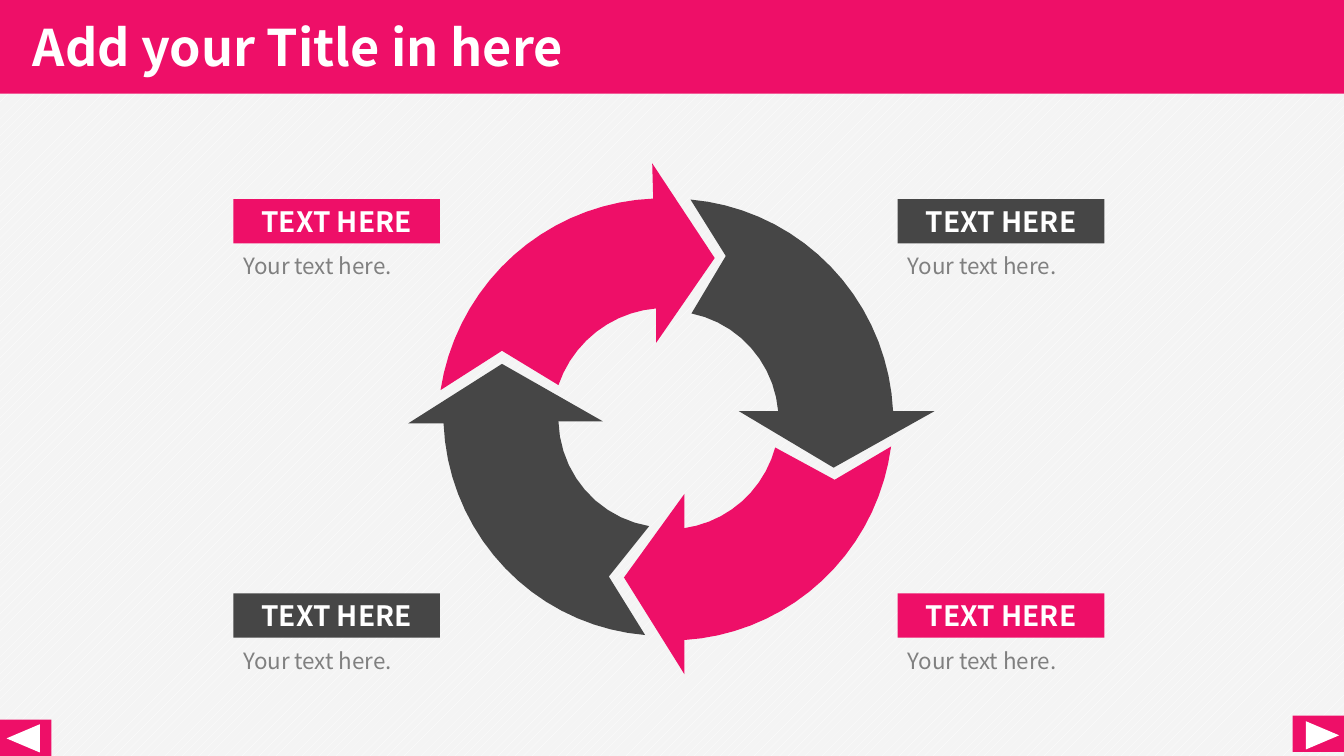
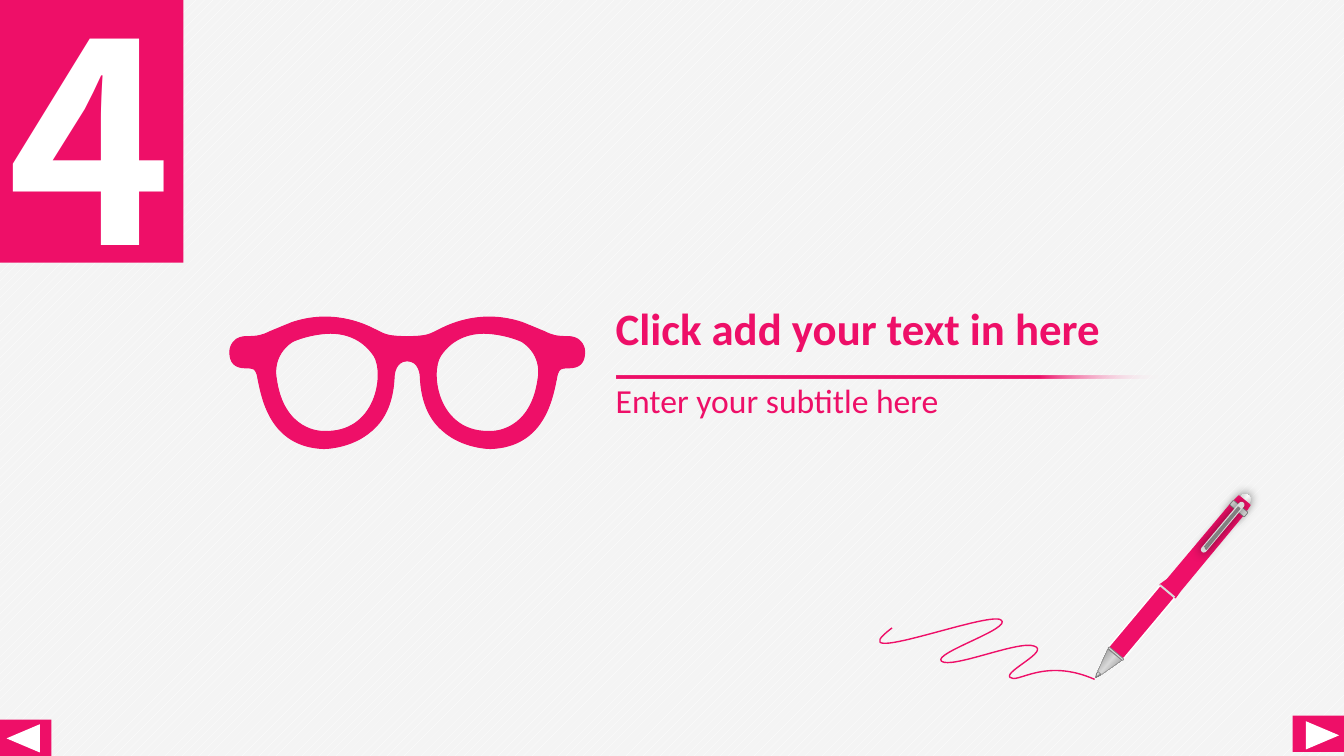
import dataclasses
import math
from typing import Optional, Sequence, Tuple, Union

import lxml.etree
import pptx
import pptx.dml.color
import pptx.enum.dml
import pptx.enum.shapes
import pptx.enum.text
import pptx.oxml.ns
import pptx.presentation
import pptx.shapes.autoshape
import pptx.slide
import pptx.util

Colour = pptx.dml.color.RGBColor
Kind = pptx.enum.shapes.MSO_SHAPE
Align = pptx.enum.text.PP_ALIGN
Anchor = pptx.enum.text.MSO_ANCHOR
Shape = pptx.shapes.autoshape.Shape
Page = pptx.slide.Slide
Point = Tuple[float, float]

# Grid: square cells, ten to the inch
COLUMNS, ROWS = 133.33, 75
CELL = 91440


# Theme
@dataclasses.dataclass(frozen=True)
class Theme:
    accent: Colour = Colour(0xEE, 0x0F, 0x68)
    dark: Colour = Colour(0x46, 0x46, 0x46)
    grey: Colour = Colour(0x80, 0x80, 0x80)
    silver: Colour = Colour(0xD9, 0xD9, 0xD9)
    ink: Colour = Colour(0x26, 0x26, 0x26)
    paper: Colour = Colour(0xF4, 0xF4, 0xF4)
    white: Colour = Colour(0xFF, 0xFF, 0xFF)
    black: Colour = Colour(0, 0, 0)
    sans: str = "Noto Sans CJK SC"
    text: str = "Calibri"
    title: int = 36
    heading: int = 32
    subtitle: int = 24
    label: int = 20
    body: int = 16
    number: int = 199


THEME = Theme()


@dataclasses.dataclass(frozen=True)
class Gradient:
    stops: Sequence[Tuple[int, Colour]]
    angle: float = 0
    fades: bool = False


@dataclasses.dataclass(frozen=True)
class Paint:
    fill: Union[Colour, Gradient, None] = None
    line: Optional[Colour] = None
    width: float = 0.75
    glow: bool = False


@dataclasses.dataclass(frozen=True)
class Box:
    left: float
    top: float
    width: float
    height: float


@dataclasses.dataclass(frozen=True)
class Type:
    size: int
    colour: Colour
    font: str = THEME.sans
    bold: bool = False
    align: Align = Align.LEFT
    anchor: Anchor = Anchor.MIDDLE
    indent: float = 1
    spacing: float = 1


@dataclasses.dataclass(frozen=True)
class Block:
    box: Box
    paint: Paint
    kind: Kind = Kind.RECTANGLE
    turn: float = 0
    rounding: Optional[float] = None


@dataclasses.dataclass(frozen=True)
class Outline:
    """Contours of corners or, when curved, of a start and three points per curve."""
    contours: Sequence[Sequence[Point]]
    paint: Paint
    closed: bool = True
    curved: bool = False


@dataclasses.dataclass(frozen=True)
class CycleArrow:
    colour: Colour
    outer: Tuple[Point, Point]
    head: Tuple[Point, Point, Point]
    inner: Tuple[Point, Point]
    notch: Point


def cells(count: float) -> pptx.util.Emu:
    return pptx.util.Emu(round(count * CELL))


def place(box: Box) -> Tuple[pptx.util.Emu, ...]:
    return tuple(cells(side) for side in dataclasses.astuple(box))


# Geometry
def sample(points: Sequence[Point], steps: int = 10) -> Sequence[Point]:
    result = [points[0]]
    for first in range(0, len(points) - 1, 3):
        for step in range(1, steps + 1):
            t = step / steps
            weights = ((1 - t) ** 3, 3 * t * (1 - t) ** 2, 3 * t * t * (1 - t), t ** 3)
            pairs = list(zip(weights, points[first:first + 4]))
            result.append((sum(w * p[0] for w, p in pairs), sum(w * p[1] for w, p in pairs)))
    return result


def arc(ends: Tuple[Point, Point], centre: Point, steps: int) -> Sequence[Point]:
    (a, r), (b, s) = [(math.atan2(y - centre[1], x - centre[0]), math.dist((x, y), centre))
                      for x, y in ends]
    sweep = math.remainder(b - a, math.tau)
    shares = [step / steps for step in range(steps + 1)]
    return [(centre[0] + (r + (s - r) * t) * math.cos(a + sweep * t),
             centre[1] + (r + (s - r) * t) * math.sin(a + sweep * t)) for t in shares]


def mirror(points: Sequence[Point], axis: float) -> Sequence[Point]:
    return [(2 * axis - x, y) for x, y in reversed(points)]


# Drawing
def child(parent: lxml.etree._Element, tag: str, **values: object) -> lxml.etree._Element:
    texts = {name: str(value) for name, value in values.items()}
    return lxml.etree.SubElement(parent, pptx.oxml.ns.qn(tag), texts)


def apply_paint(shape: Shape, paint: Paint) -> None:
    shape.shadow.inherit = False
    properties = shape._element.spPr
    if paint.fill is None:
        shape.fill.background()
    elif isinstance(paint.fill, Gradient):
        shape.fill.gradient()
        shape.fill.gradient_angle = paint.fill.angle
        stops = properties.find(".//" + pptx.oxml.ns.qn("a:gsLst"))
        for stop in list(stops):
            stops.remove(stop)
        for share, colour in paint.fill.stops:
            stop = child(stops, "a:gs", pos=share * 1000)
            tint = child(stop, "a:srgbClr", val=colour)
            if paint.fill.fades and share == 100:
                child(tint, "a:alpha", val=0)
    else:
        shape.fill.solid()
        shape.fill.fore_color.rgb = paint.fill
    if paint.line is None:
        shape.line.fill.background()
    else:
        shape.line.color.rgb = paint.line
        shape.line.width = pptx.util.Pt(paint.width)
    if paint.glow:
        effects = properties.find(pptx.oxml.ns.qn("a:effectLst"))
        shadow = child(effects, "a:outerShdw", blurRad=pptx.util.Pt(8), dist=0, dir=0)
        child(child(shadow, "a:srgbClr", val=THEME.black), "a:alpha", val=60000)


def draw_block(page: Page, block: Block) -> Shape:
    shape = page.shapes.add_shape(block.kind, *place(block.box))
    shape.rotation = block.turn
    if block.rounding is not None:
        shape.adjustments[0] = block.rounding
    apply_paint(shape, block.paint)
    return shape


def bend(shape: Shape, outline: Outline) -> None:
    """Gives the shape true cubic curves within its present bounds."""
    track = next(shape._element.iter(pptx.oxml.ns.qn("a:moveTo"))).getparent()
    for command in list(track):
        track.remove(command)
    for contour in outline.contours:
        for index, (x, y) in enumerate(contour):
            if index == 0:
                command = child(track, "a:moveTo")
            elif index % 3 == 1:
                command = child(track, "a:cubicBezTo")
            child(command, "a:pt", x=cells(x) - shape.left, y=cells(y) - shape.top)
        if outline.closed:
            child(track, "a:close")


def draw_outline(page: Page, outline: Outline) -> None:
    contours = [[(cells(x), cells(y)) for x, y in (sample(contour) if outline.curved else contour)]
                for contour in outline.contours]
    builder = page.shapes.build_freeform(*contours[0][0])
    for index, contour in enumerate(contours):
        if index:
            builder.move_to(*contour[0])
        builder.add_line_segments(contour[1:], close=outline.closed)
    shape = builder.convert_to_shape()
    if outline.curved:
        bend(shape, outline)
    apply_paint(shape, outline.paint)


def draw_line(page: Page, start: Point, end: Point, colour: Colour, width: float) -> None:
    ends = [cells(value) for value in start + end]
    line = page.shapes.add_connector(pptx.enum.shapes.MSO_CONNECTOR.STRAIGHT, *ends)
    line.line.color.rgb = colour
    line.line.width = pptx.util.Pt(width)
    child(line._element.spPr, "a:effectLst")


def write(shape: Shape, words: str, style: Type) -> None:
    frame = shape.text_frame
    frame.word_wrap = True
    frame.vertical_anchor = style.anchor
    frame.margin_left = cells(style.indent)
    para = frame.paragraphs[0]
    para.text = words
    para.alignment = style.align
    para.line_spacing = style.spacing
    para.font.name = style.font
    para.font.size = pptx.util.Pt(style.size)
    para.font.bold = style.bold
    para.font.color.rgb = style.colour


def add_text(page: Page, box: Box, words: str, style: Type) -> None:
    write(page.shapes.add_textbox(*place(box)), words, style)


# Shared frame: background and page buttons
def add_page(deck: pptx.presentation.Presentation) -> Page:
    page = deck.slides.add_slide(deck.slide_layouts[6])
    fill = page.background.fill
    fill.patterned()
    fill.pattern = pptx.enum.dml.MSO_PATTERN.PERCENT_20
    fill.fore_color.rgb = THEME.white
    fill.back_color.rgb = THEME.paper
    for left, top, arrow_left, arrow_top, turn in ((0, 71.4, 0.9, 71.6, 270),
                                                   (COLUMNS - 5.1, 71, 129.8, 71.3, 90)):
        draw_block(page, Block(Box(left, top, 5.1, 3.6), Paint(THEME.accent)))
        draw_block(page, Block(Box(arrow_left, arrow_top, 2.8, 3.3), Paint(THEME.white),
                               Kind.ISOSCELES_TRIANGLE, turn))
    return page


# Cycle slide
RING_CENTRE = (66.3, 41.6)
CYCLE = (
    CycleArrow(THEME.accent, ((43.7, 38.7), (64.8, 19.7)),
               ((64.7, 16.2), (70.9, 25.6), (65.1, 34)), ((65.1, 30.6), (55.4, 38.2)), (49.8, 34.8)),
    CycleArrow(THEME.accent, ((88.4, 44.3), (67.9, 63.5)),
               ((67.9, 66.9), (61.9, 57.3), (67.9, 49)), ((67.9, 52.4), (76.9, 44.4)), (82.8, 47.6)),
    CycleArrow(THEME.dark, ((64, 63), (44, 42)),
               ((40.5, 42), (49.8, 36.1), (59.8, 41.8)), ((55.4, 41.8), (64.4, 52.2)), (60.4, 57.2)),
    CycleArrow(THEME.dark, ((68.5, 19.8), (88.6, 40.8)),
               ((92.7, 40.8), (82.7, 46.4), (73.3, 40.8)), ((77.2, 40.8), (68.6, 31.1)), (72, 25.4)),
)


def build_cycle(page: Page) -> None:
    band = draw_block(page, Block(Box(0, 0, COLUMNS, 9.3), Paint(THEME.accent)))
    write(band, "Add your Title in here", Type(THEME.title, THEME.white, bold=True, indent=3.25))
    for arrow in CYCLE:
        contour = [*arc(arrow.outer, RING_CENTRE, 18), *arrow.head,
                   *arc(arrow.inner, RING_CENTRE, 10), arrow.notch]
        draw_outline(page, Outline([contour], Paint(arrow.colour)))
    label = Type(THEME.label, THEME.white, bold=True, align=Align.CENTER)
    body = Type(THEME.body, THEME.grey, anchor=Anchor.TOP)
    for row, top in enumerate((19.76, 58.86)):
        for column, left in enumerate((23.14, 89.06)):
            colour = THEME.accent if row == column else THEME.dark
            tag = draw_block(page, Block(Box(left, top, 20.5, 4.4), Paint(colour)))
            write(tag, "TEXT HERE", label)
            add_text(page, Box(left, top + 4.8, 19.2, 3.7), "Your text here.", body)


# Section slide
BRIDGE = 40.4
HALF_FRAME = (
    (40.4, 33.4), (38.6, 33.4), (38.2, 33.2), (37.6, 32.9), (37.2, 32.7), (37.2, 32.7), (37, 32.6),
    (36, 32.1), (32.9, 30.7), (29, 32), (28, 32.4), (27.3, 32.7), (26.8, 32.9),
    (26, 33.3), (25.6, 33.4), (24.4, 33.4), (24.1, 33.4), (23.5, 33.5), (23.2, 33.9),
    (23, 34.1), (22.8, 34.5), (22.8, 34.9), (22.8, 36), (23.3, 36.5), (24.4, 36.5),
    (25.2, 36.5), (25.3, 36.6), (25.5, 37.1), (25.5, 37.2), (25.6, 37.4), (25.6, 37.6),
    (26, 39.5), (26.8, 44.3), (32.1, 44.5), (32.2, 44.5), (34.9, 44.5), (36.9, 42.7),
    (38.3, 41.5), (39, 39.7), (39.1, 37.4), (39.1, 37.2), (39.2, 35.8), (40.4, 35.8))
LENS = (
    (32, 42.8), (32, 42.8), (28.1, 42.9), (27.4, 37.5), (27.4, 37.5), (26.9, 35.3), (29, 33.9),
    (29, 33.9), (30.2, 33.3), (32.1, 33.1), (34, 32.9), (35.9, 33.5), (37.1, 35.3),
    (38.2, 37), (37.4, 43.1), (32, 42.8))
GLASSES = Outline([[*HALF_FRAME, *mirror(HALF_FRAME, BRIDGE)[1:]], LENS, mirror(LENS, BRIDGE)],
                  Paint(THEME.accent, THEME.accent), curved=True)
SCRIBBLE = Outline([(
    (88.5, 62.3), (82.9, 66.5), (98, 60.6), (99.3, 61.5), (100.6, 62.3), (92.5, 64.8), (93.4, 65.6),
    (94.4, 66.4), (101.1, 63.5), (102.6, 64.1), (104.2, 64.6), (99.6, 66.6), (100.2, 67.2),
    (100.9, 67.9), (103.6, 65.2), (108.6, 67.4))],
    Paint(line=THEME.accent, width=1), closed=False, curved=True)

TILT = 310
STEEL = Gradient(((0, THEME.grey), (51, THEME.white), (100, THEME.grey)), 90)
CONE = Gradient(((0, THEME.grey), (50, THEME.silver), (100, THEME.grey)), 320)
TIP = Gradient(((0, THEME.ink), (36, THEME.grey), (65, THEME.white),
                (80, THEME.white), (100, THEME.ink)), 140)
RING = Paint(THEME.silver, THEME.grey, 0.5)
ROUND = Kind.ROUNDED_RECTANGLE
PEN = (
    Block(Box(121.5, 49.7, 2.9, 1.1), Paint(STEEL, glow=True), ROUND, TILT, 0.5),
    Outline([((108.8, 66.8), (109.4, 66.2), (109.6, 66.4), (109.1, 67), (108.7, 67.2))],
            Paint(TIP, THEME.grey)),
    Block(Box(109.2, 60.8, 8.1, 1.9), Paint(THEME.accent, THEME.white, 1), ROUND, TILT, 0.11),
    Outline([((109.9, 64.4), (111.3, 65.5), (109.3, 66.9), (108.9, 66.6))],
            Paint(CONE, THEME.grey, 0.25)),
    Outline([((122.9, 49.2), (124, 50.1), (123.4, 51), (117.1, 58.6), (116.6, 59.3),
              (115.1, 58), (115.8, 57.5), (122.1, 50))], Paint(THEME.accent, THEME.accent, 1)),
    Block(Box(115.7, 57.7, 0.2, 1.9), Paint(THEME.silver), turn=TILT),
    Block(Box(110.6, 63.9, 0.2, 1.9), RING, ROUND, TILT, 0.37),
    Block(Box(122.6, 49.5, 0.6, 1.9), RING, ROUND, TILT, 0.2),
    Block(Box(118.1, 52, 6.4, 0.6), Paint(THEME.silver, glow=True), ROUND, TILT, 0.5),
)
CLIP_GROOVES = (((119.6, 54.5), (123, 50.4)), ((119.5, 54.3), (122.9, 50.3)))


def build_section(page: Page) -> None:
    add_text(page, Box(60.1, 29.45, 60, 6.8), "Click add your text in here",
             Type(THEME.heading, THEME.accent, THEME.text, bold=True, spacing=0.9))
    fade = Gradient(((0, THEME.accent), (77, THEME.accent), (100, THEME.white)), fades=True)
    draw_block(page, Block(Box(61.2, 37.3, 54.3, 0.3), Paint(fade)))
    add_text(page, Box(60.1, 37.6, 61.1, 4.2), "Enter your subtitle here",
             Type(THEME.subtitle, THEME.accent, THEME.text))
    draw_outline(page, GLASSES)
    for part in PEN:
        draw = draw_block if isinstance(part, Block) else draw_outline
        draw(page, part)
    for start, end in CLIP_GROOVES:
        draw_line(page, start, end, THEME.grey, 1.5)
    draw_outline(page, SCRIBBLE)
    draw_block(page, Block(Box(0, 0, 18.2, 26.05), Paint(THEME.accent)))
    add_text(page, Box(-0.2, -3.75, 36.8, 34.5), "4",
             Type(THEME.number, THEME.white, bold=True, anchor=Anchor.TOP))


# Deck
deck = pptx.Presentation()
deck.slide_width, deck.slide_height = cells(COLUMNS), cells(ROWS)
for build in (build_cycle, build_section):
    build(add_page(deck))
deck.save("out.pptx")
